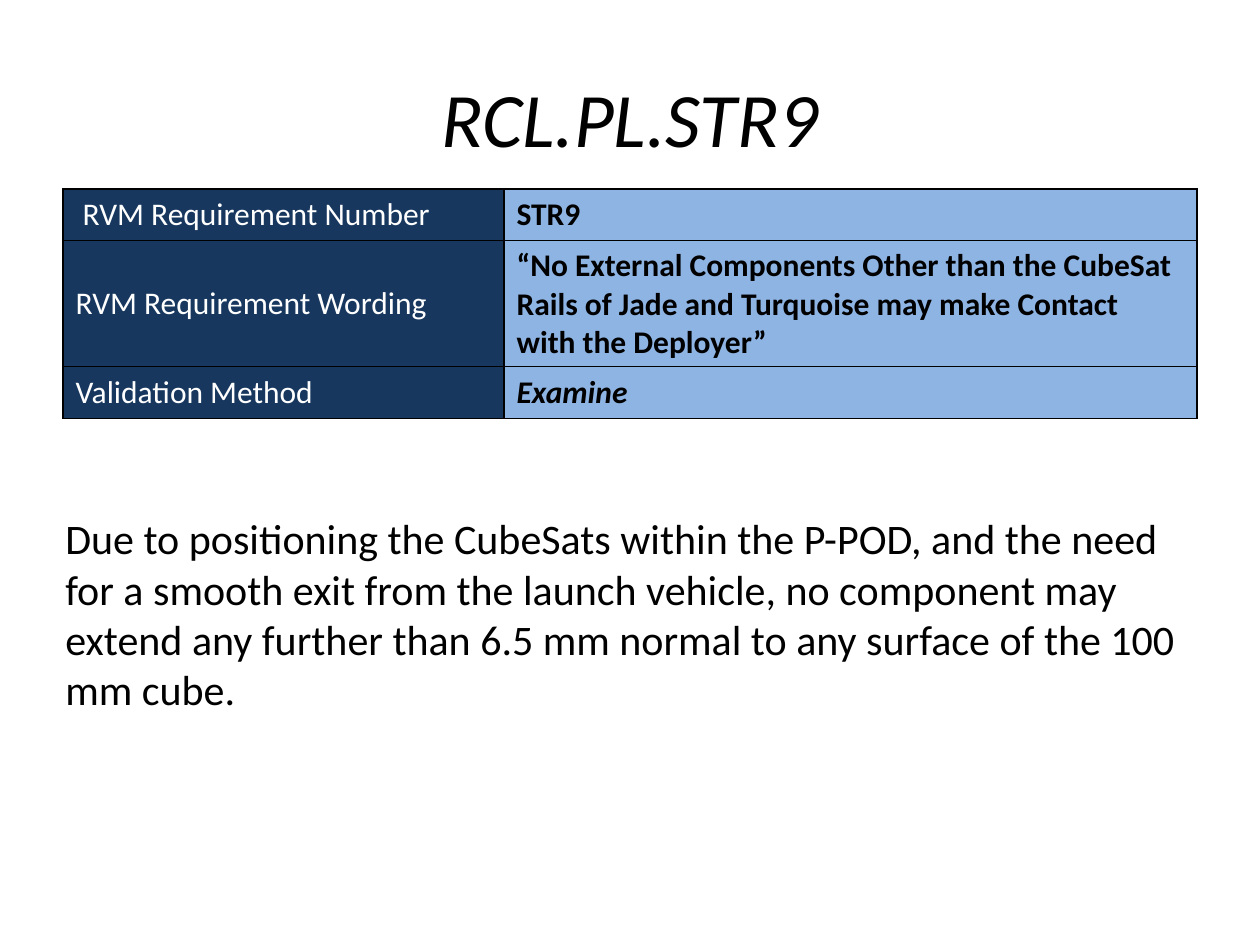
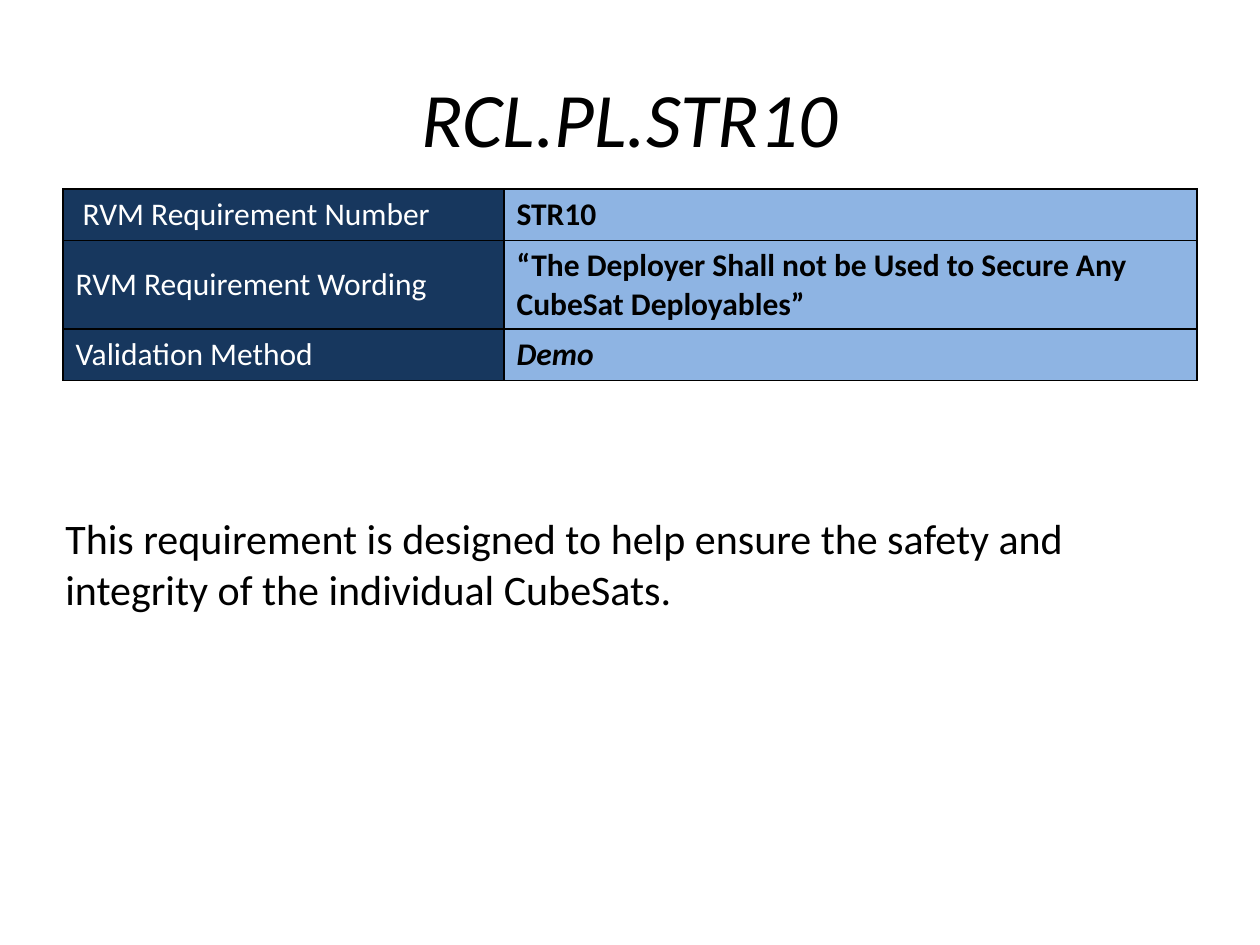
from lxml.etree import SubElement
from pptx import Presentation
from pptx.dml.color import RGBColor
from pptx.enum.text import MSO_ANCHOR, PP_ALIGN
from pptx.oxml.ns import qn
from pptx.util import Inches, Pt

FONT = "Calibri"
BLACK, WHITE, NAVY, SKY = "000000", "FFFFFF", "17375E", "8EB4E3"
LABELS = (" RVM Requirement Number", "RVM Requirement Wording", "Validation Method")
COLS = (3.5, 5.5)
ROW = 0.41

TITLE_BOX = (0.5, 0.3, 9, 1.25)
TABLE_BOX = (0.5, 1.5, 9)
NOTE_BOX = (0.42, 4.02, 9.08)

PAGES = (
    dict(
        title="RCL.PL.STR9",
        values=(
            "STR9",
            "“No External Components Other than the CubeSat Rails of Jade and "
            "Turquoise may make Contact with the Deployer”",
            "Examine",
        ),
        middle=0.99,
        note="Due to positioning the CubeSats within the P-POD, and the need for a "
        "smooth exit from the launch vehicle, no component may extend any further "
        "than 6.5 mm normal to any surface of the 100 mm cube.",
        depth=1.72,
    ),
    dict(
        title="RCL.PL.STR10",
        values=(
            "STR10",
            "“The Deployer Shall not be Used to Secure Any CubeSat Deployables”",
            "Demo",
        ),
        middle=0.69,
        note="This requirement is designed to help ensure the safety and integrity "
        "of the individual CubeSats.",
        depth=0.91,
    ),
)


def color(text):
    """Turn a hex string into a colour."""
    return RGBColor.from_string(text)


def write(frame, text, size, ink=BLACK, bold=False, italic=False):
    """Put text in a frame and format its runs."""
    frame.word_wrap = True
    frame.text = text
    for run in frame.paragraphs[0].runs:
        font = run.font
        font.name, font.size = FONT, Pt(size)
        font.bold, font.italic = bold, italic
        font.color.rgb = color(ink)


def add_text(slide, box, text, size, italic=False):
    """Add a text box and return its frame."""
    frame = slide.shapes.add_textbox(*map(Inches, box)).text_frame
    write(frame, text, size, italic=italic)
    return frame


def add_title(slide, box, text):
    """Add the centred italic title."""
    frame = add_text(slide, box, text, 44, italic=True)
    frame.vertical_anchor = MSO_ANCHOR.MIDDLE
    frame.paragraphs[0].alignment = PP_ALIGN.CENTER


def edge(cell):
    """Draw a thin black border around a cell."""
    props = cell._tc.get_or_add_tcPr()
    for side in ("lnL", "lnR", "lnT", "lnB"):
        line = SubElement(props, qn(f"a:{side}"), w=str(Pt(1)))
        fill = SubElement(line, qn("a:solidFill"))
        SubElement(fill, qn("a:srgbClr"), val=BLACK)


def paint(cell, fill):
    """Give a cell its border and fill."""
    edge(cell)
    cell.fill.solid()
    cell.fill.fore_color.rgb = color(fill)


def add_grid(slide, box, values, middle):
    """Add the table of requirement labels and values."""
    left, top, width = box
    rows = (ROW, middle, ROW)
    size = map(Inches, (left, top, width, sum(rows)))
    table = slide.shapes.add_table(len(rows), len(COLS), *size).table
    table.first_row = table.horz_banding = False
    for col, span in zip(table.columns, COLS):
        col.width = Inches(span)
    for i, (label, value) in enumerate(zip(LABELS, values)):
        table.rows[i].height = Inches(rows[i])
        name, data = table.cell(i, 0), table.cell(i, 1)
        paint(name, NAVY)
        paint(data, SKY)
        name.vertical_anchor = MSO_ANCHOR.MIDDLE
        write(name.text_frame, label, 18, WHITE)
        last = i == len(rows) - 1
        write(data.text_frame, value, 18, bold=True, italic=last)


def add_page(deck, title, values, middle, note, depth):
    """Add one requirement slide."""
    slide = deck.slides.add_slide(deck.slide_layouts[6])
    add_title(slide, TITLE_BOX, title)
    add_grid(slide, TABLE_BOX, values, middle)
    add_text(slide, (*NOTE_BOX, depth), note, 24)


def main():
    """Build and save the deck."""
    deck = Presentation()
    deck.slide_width, deck.slide_height = Inches(10), Inches(7.5)
    for page in PAGES:
        add_page(deck, **page)
    deck.save("out.pptx")


if __name__ == "__main__":
    main()
